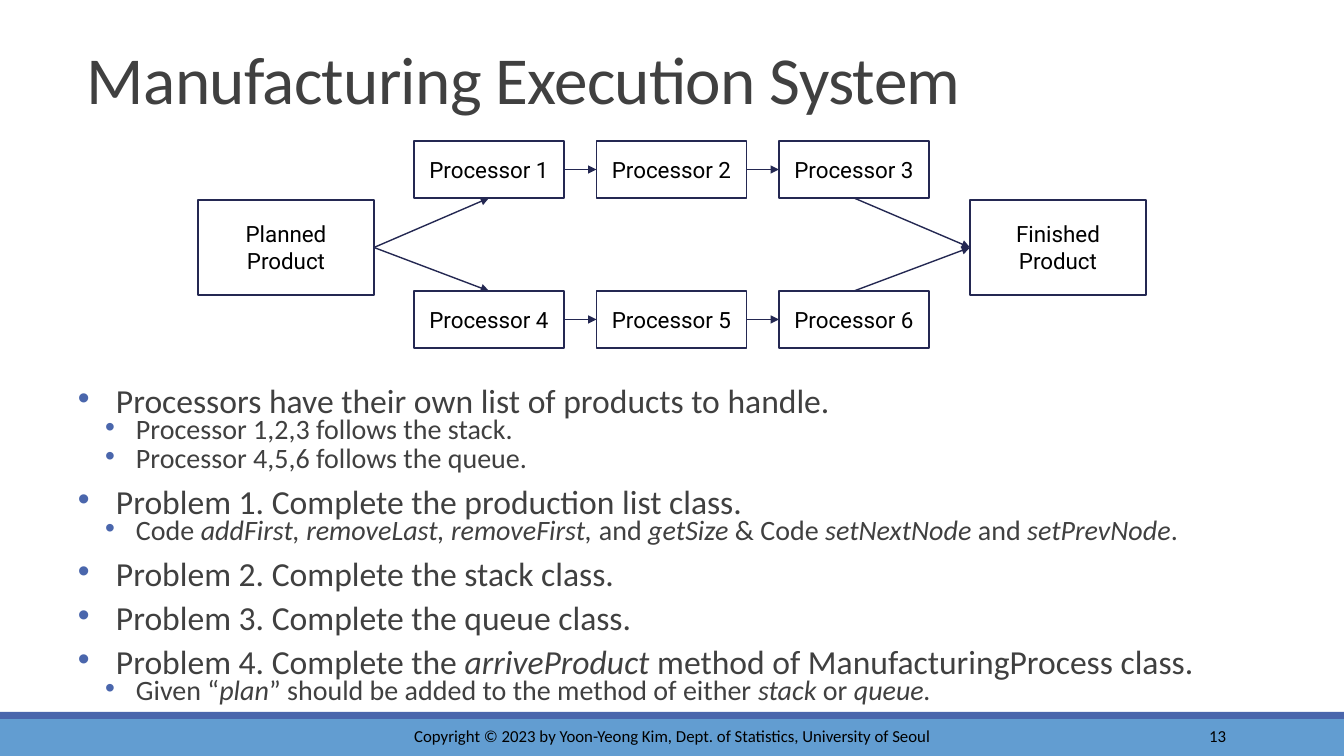
from dataclasses import dataclass

from lxml.etree import SubElement
from pptx import Presentation
from pptx.dml.color import RGBColor
from pptx.enum.shapes import MSO_CONNECTOR, MSO_SHAPE
from pptx.enum.text import MSO_ANCHOR, PP_ALIGN
from pptx.oxml.ns import qn
from pptx.util import Pt

SCALE = 914400 / 100.8
TOP, LEFT, BOTTOM, RIGHT = range(4)


@dataclass(frozen=True)
class Theme:
    """Colours, fonts and type sizes of the slide."""
    ink: str = "404040"
    black: str = "000000"
    navy: str = "242852"
    blue: str = "4A66AC"
    sky: str = "629DD1"
    font: str = "Calibri"
    label: str = "Roboto"
    title: int = 48
    body: int = 24
    sub: int = 20
    node: int = 16
    foot: int = 12


THEME = Theme()
POINTS = [
    (0, "Processors have their own list of products to handle."),
    (1, "Processor 1,2,3 follows the stack."),
    (1, "Processor 4,5,6 follows the queue."),
    (0, "Problem 1. Complete the production list class."),
    (1, "Code *addFirst, removeLast, removeFirst, *and *getSize *& Code "
        "*setNextNode *and *setPrevNode*."),
    (0, "Problem 2. Complete the stack class."),
    (0, "Problem 3. Complete the queue class."),
    (0, "Problem 4. Complete the *arriveProduct* method of "
        "ManufacturingProcess class."),
    (1, "Given “*plan*” should be added to the method of either "
        "*stack* or *queue.*"),
]


def px(num):
    """Turn pixels into EMU."""
    return round(num * SCALE)


def rgb(code):
    """Turn a hex code into a colour."""
    return RGBColor.from_string(code)


def style(para, size, color, name=THEME.font, align=PP_ALIGN.LEFT):
    """Set the font and alignment of a paragraph."""
    para.font.size = Pt(size)
    para.font.name = name
    para.font.color.rgb = rgb(color)
    para.alignment = align


def add_text(slide, area, anchor):
    """Add a wrapping text box and return its frame."""
    frame = slide.shapes.add_textbox(*map(px, area)).text_frame
    frame.word_wrap = True
    frame.vertical_anchor = anchor
    return frame


def add_line(slide, area, text, size, color, align, anchor=MSO_ANCHOR.MIDDLE):
    """Add a one-paragraph text box and return the paragraph."""
    para = add_text(slide, area, anchor).paragraphs[0]
    para.text = text
    style(para, size, color, align=align)
    return para


def add_title(slide, text):
    """Add the slide title with tight letter spacing."""
    para = add_line(slide, (77, 21, 1191, 102), text, THEME.title, THEME.ink,
                    PP_ALIGN.LEFT, MSO_ANCHOR.BOTTOM)
    para.line_spacing = 0.85
    para.runs[0].font._element.set("spc", "-50")


def add_bar(slide, top, height, color):
    """Add a footer bar across the slide."""
    bar = slide.shapes.add_shape(
        MSO_SHAPE.RECTANGLE, 0, px(top), px(1344), px(height))
    bar.shadow.inherit = False
    bar.fill.solid()
    bar.fill.fore_color.rgb = rgb(color)
    bar.line.fill.background()


def add_node(slide, area, text):
    """Add an outlined box with a centred label."""
    node = slide.shapes.add_shape(MSO_SHAPE.RECTANGLE, *map(px, area))
    node.shadow.inherit = False
    node.fill.background()
    node.line.color.rgb = rgb(THEME.navy)
    node.line.width = Pt(1.25)
    frame = node.text_frame
    frame.word_wrap = True
    frame.vertical_anchor = MSO_ANCHOR.MIDDLE
    para = frame.paragraphs[0]
    para.text = text
    style(para, THEME.node, THEME.black, THEME.label, PP_ALIGN.CENTER)
    return node


def add_arrow(slide, start, out, end, into):
    """Join two nodes by an arrow between the given sides."""
    arrow = slide.shapes.add_connector(MSO_CONNECTOR.STRAIGHT, 0, 0, 0, 0)
    arrow.begin_connect(start, out)
    arrow.end_connect(end, into)
    arrow.line.color.rgb = rgb(THEME.navy)
    arrow.line.width = Pt(1)
    SubElement(arrow.line._get_or_add_ln(), qn("a:tailEnd"), type="triangle")
    SubElement(arrow._element.spPr, qn("a:effectLst"))


def add_flow(slide):
    """Draw the two processor lines between plan and finish."""
    plan = add_node(slide, (198, 200, 176, 95), "Planned Product")
    done = add_node(slide, (970, 200, 176, 95), "Finished Product")
    for row, (out, into) in enumerate([(TOP, BOTTOM), (BOTTOM, TOP)]):
        line = [add_node(slide, (414 + 182.5 * col, 141 + 150 * row, 150, 57),
                         f"Processor {3 * row + col + 1}")
                for col in range(3)]
        add_arrow(slide, plan, RIGHT, line[0], into)
        for start, end in zip(line, line[1:]):
            add_arrow(slide, start, RIGHT, end, LEFT)
        add_arrow(slide, line[-1], into, done, LEFT)


def add_bullet(para, margin, hang):
    """Give a paragraph a hanging coloured bullet."""
    props = para._p.get_or_add_pPr()
    props.set("marL", str(px(margin)))
    props.set("indent", str(-px(hang)))
    color = SubElement(props, qn("a:buClr"))
    SubElement(color, qn("a:srgbClr"), val=THEME.blue)
    SubElement(props, qn("a:buFont"), typeface="Arial")
    SubElement(props, qn("a:buChar"), char="•")


def add_points(slide, points):
    """Add the two-level list, with starred parts in italics."""
    frame = add_text(slide, (77, 389, 1191, 334), MSO_ANCHOR.TOP)
    frame.margin_left = frame.margin_right = 0
    for index, (level, text) in enumerate(points):
        para = frame.add_paragraph() if index else frame.paragraphs[0]
        para.level = level
        para.line_spacing = 0.6
        para.space_before = Pt(2 if level else 12)
        para.space_after = Pt(4 if level else 2)
        add_bullet(para, *((59, 31) if level else (39, 38)))
        style(para, THEME.sub if level else THEME.body, THEME.ink)
        for turn, part in enumerate(text.split("*")):
            if part:
                run = para.add_run()
                run.text = part
                run.font.italic = turn % 2 == 1


def main():
    """Build the slide and save it."""
    deck = Presentation()
    deck.slide_width, deck.slide_height = px(1344), px(756)
    slide = deck.slides.add_slide(deck.slide_layouts[6])
    add_bar(slide, 719, 37, THEME.sky)
    add_bar(slide, 712, 7, THEME.blue)
    add_title(slide, "Manufacturing Execution System")
    add_points(slide, POINTS)
    add_line(slide, (367, 716, 611, 40),
             "Copyright © 2023 by Yoon-Yeong Kim, Dept. of Statistics, "
             "University of Seoul", THEME.foot, THEME.black, PP_ALIGN.CENTER)
    add_line(slide, (1092, 716, 144, 40), "13", THEME.foot, THEME.black,
             PP_ALIGN.RIGHT)
    add_flow(slide)
    deck.save("out.pptx")


main()
